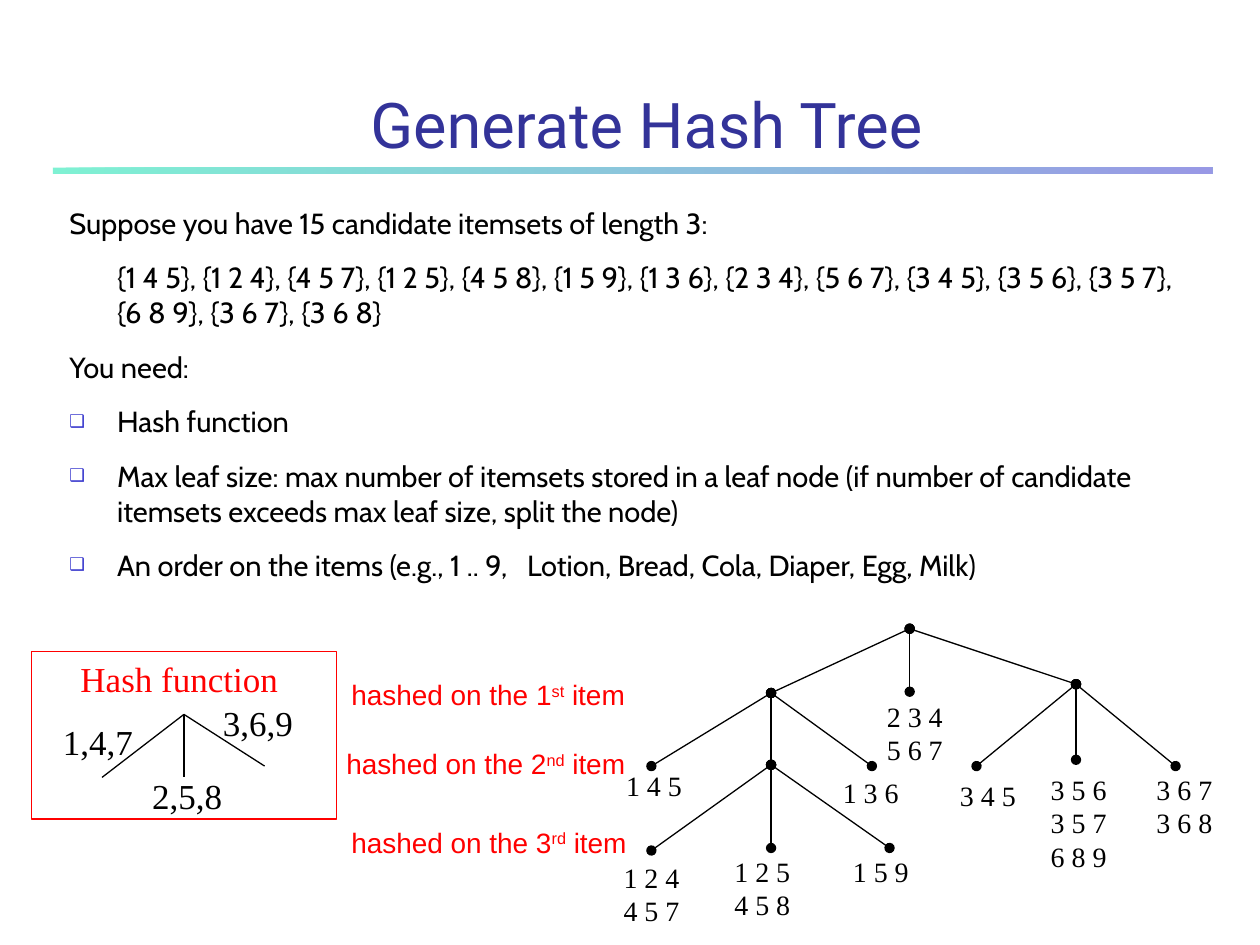
from dataclasses import dataclass
from typing import Optional

from lxml.etree import SubElement
from pptx import Presentation
from pptx.dml.color import RGBColor
from pptx.enum.shapes import MSO_CONNECTOR as Connector, MSO_SHAPE as Preset
from pptx.enum.text import MSO_ANCHOR as Anchor, MSO_AUTO_SIZE as AutoSize, PP_ALIGN as Align
from pptx.oxml.ns import qn
from pptx.util import Emu, Pt

EMU_PER_PX = 9144


@dataclass(frozen=True)
class Theme:
    black: str = "000000"
    red: str = "FF0000"
    title: str = "333399"
    bullet: str = "3333CC"
    rule_start: str = "00E4A8"
    rule_end: str = "3333CC"
    title_font: str = "Roboto"
    body_font: str = "Cabin"
    tree_font: str = "Times New Roman"
    level_font: str = "Arial"
    title_size: float = 36
    body_size: float = 16.6
    hash_size: float = 20
    label_size: float = 16
    line_width: float = 0.75


THEME = Theme()


@dataclass(frozen=True)
class Box:
    left: int
    top: int
    width: int
    height: int

    def emu(self) -> tuple:
        return tuple(px(v) for v in (self.left, self.top, self.width, self.height))


@dataclass(frozen=True)
class Style:
    font: str
    size: float
    color: str


@dataclass(frozen=True)
class Span:
    text: str
    raised: bool = False
    spacing: float = 0


@dataclass(frozen=True)
class BodyItem:
    spans: tuple
    left: int = 38
    indent: int = -38
    bullet: bool = False


@dataclass(frozen=True)
class Label:
    left: int
    top: int
    lines: tuple


@dataclass(frozen=True)
class Node:
    x: int
    y: int
    label: Optional[Label] = None
    children: tuple = ()


TITLE_STYLE = Style(THEME.title_font, THEME.title_size, THEME.title)
BODY_STYLE = Style(THEME.body_font, THEME.body_size, THEME.black)
LEAF_STYLE = Style(THEME.tree_font, THEME.label_size, THEME.black)
LEVEL_STYLE = Style(THEME.level_font, THEME.label_size, THEME.red)
BUCKET_STYLE = Style(THEME.tree_font, THEME.hash_size, THEME.black)
HASH_STYLE = Style(THEME.tree_font, THEME.hash_size, THEME.red)

BODY = (
    BodyItem((Span("Suppose you have 15 candidate itemsets of length 3:"),)),
    BodyItem((Span("{1 4 5}, {1 2 4}, {4 5 7}, {1 2 5}, {4 5 8}, {1 5 9}, {1 3 6}, {2 3 4}, "
                   "{5 6 7}, {3 4 5}, {3 5 6}, {3 5 7}, {6 8 9}, {3 6 7}, {3 6 8}"),), indent=0),
    BodyItem((Span("You need:"),)),
    BodyItem((Span("Hash function"),), bullet=True),
    BodyItem((Span("Max leaf size: max number of itemsets stored in a leaf node (if number of "
                   "candidate itemsets exceeds max leaf size, split the node)"),), bullet=True),
    BodyItem((Span("An order on the items (e.g., 1 .. 9,"), Span(" ", spacing=7.6),
              Span("Lotion, Bread, Cola, Diaper, Egg, Milk)")), bullet=True),
)

TREE = Node(722, 499, children=(
    Node(612, 550, children=(
        Node(517, 608, Label(487, 605, ("1 4 5",))),
        Node(612, 607, children=(
            Node(517, 675, Label(485, 678, ("1 2 4", "4 5 7"))),
            Node(612, 673, Label(573, 673, ("1 2 5", "4 5 8"))),
            Node(706, 673, Label(667, 673, ("1 5 9",))),
        )),
        Node(692, 608, Label(659, 611, ("1 3 6",))),
    )),
    Node(722, 549, Label(694, 550, ("2 3 4", "5 6 7"))),
    Node(854, 543, children=(
        Node(775, 608, Label(752, 613, ("3 4 5",))),
        Node(854, 603, Label(824, 608, ("3 5 6", "3 5 7", "6 8 9"))),
        Node(933, 608, Label(908, 608, ("3 6 7", "3 6 8"))),
    )),
))

HASH_BRANCHES = ((81, 617), (146, 617), (210, 608))
HASH_BUCKETS = (("1,4,7", 40, 567), ("2,5,8", 111, 610), ("3,6,9", 167, 552))
LEVELS = (("1", "st", Box(269, 533, 242, 37)),
          ("2", "nd", Box(265, 588, 246, 37)),
          ("3", "rd", Box(269, 650, 243, 37)))


def px(value: int) -> Emu:
    return Emu(value * EMU_PER_PX)


def rgb(color: str) -> RGBColor:
    return RGBColor.from_string(color)


def add_span(para, span: Span, style: Style) -> None:
    run = para.add_run()
    run.text = span.text
    run.font.name = style.font
    run.font.size = Pt(style.size)
    run.font.color.rgb = rgb(style.color)
    properties = run.font._element
    if span.raised:
        properties.set("baseline", "30000")
    if span.spacing:
        properties.set("spc", str(round(span.spacing * 100)))


def add_label(shapes, box: Box, lines: tuple, style: Style) -> None:
    frame = shapes.add_textbox(*box.emu()).text_frame
    frame.word_wrap = False
    frame.auto_size = AutoSize.NONE
    for index, spans in enumerate(lines):
        para = frame.add_paragraph() if index else frame.paragraphs[0]
        para.alignment = Align.LEFT
        for span in spans:
            add_span(para, span, style)


def add_line(shapes, start: tuple, end: tuple, dots: bool = False) -> None:
    line = shapes.add_connector(Connector.STRAIGHT, *(px(v) for v in (*start, *end)))
    line.line.color.rgb = rgb(THEME.black)
    line.line.width = Pt(THEME.line_width)
    if dots:
        outline = line.line._get_or_add_ln()
        for tag in ("a:headEnd", "a:tailEnd"):
            SubElement(outline, qn(tag), type="oval")
    SubElement(line._element.spPr, qn("a:effectLst"))


def add_bullet(para) -> None:
    properties = para._p.get_or_add_pPr()
    color = SubElement(properties, qn("a:buClr"))
    SubElement(color, qn("a:srgbClr"), val=THEME.bullet)
    SubElement(properties, qn("a:buSzPct"), val="60000")
    SubElement(properties, qn("a:buChar"), char="❑")


def fill_title(title) -> None:
    title.left, title.top, title.width, title.height = Box(67, 25, 892, 108).emu()
    frame = title.text_frame
    frame.auto_size = AutoSize.NONE
    frame.vertical_anchor = Anchor.BOTTOM
    frame.paragraphs[0].alignment = Align.CENTER
    add_span(frame.paragraphs[0], Span("Generate Hash Tree"), TITLE_STYLE)


def fill_body(body) -> None:
    body.left, body.top, body.width, body.height = Box(45, 158, 910, 325).emu()
    frame = body.text_frame
    frame.auto_size = AutoSize.NONE
    for index, item in enumerate(BODY):
        para = frame.add_paragraph() if index else frame.paragraphs[0]
        properties = para._p.get_or_add_pPr()
        properties.set("marL", str(px(item.left)))
        properties.set("indent", str(px(item.indent)))
        if item.bullet:
            add_bullet(para)
        else:
            SubElement(properties, qn("a:buNone"))
        para.space_before = Pt(11.2 if index else 0)
        for span in item.spans:
            add_span(para, span, BODY_STYLE)


def add_title_rule(shapes) -> None:
    rule = shapes.add_shape(Preset.RECTANGLE, *Box(42, 133, 920, 5).emu())
    rule.shadow.inherit = False
    rule.line.fill.background()
    rule.fill.gradient()
    rule.fill.gradient_angle = 0
    for stop, color in zip(rule.fill.gradient_stops, (THEME.rule_start, THEME.rule_end)):
        stop.color.rgb = rgb(color)
    for color in rule._element.spPr.iter(qn("a:srgbClr")):
        SubElement(color, qn("a:alpha"), val="50000")


def add_tree(shapes, node: Node) -> None:
    for child in node.children:
        add_line(shapes, (node.x, node.y), (child.x, child.y), dots=True)
        add_tree(shapes, child)
    if node.label:
        lines = tuple((Span(text),) for text in node.label.lines)
        box = Box(node.label.left, node.label.top, 68, 10 + 27 * len(lines))
        add_label(shapes, box, lines, LEAF_STYLE)


def add_hash_function(shapes) -> None:
    for end in HASH_BRANCHES:
        add_line(shapes, (146, 567), end)
    for text, left, top in HASH_BUCKETS:
        add_label(shapes, Box(left, top, 80, 44), ((Span(text),),), BUCKET_STYLE)
    add_label(shapes, Box(54, 517, 182, 44), ((Span("Hash function"),),), HASH_STYLE)
    border = shapes.add_shape(Preset.RECTANGLE, *Box(25, 517, 242, 133).emu())
    border.shadow.inherit = False
    border.fill.background()
    border.line.color.rgb = rgb(THEME.red)
    border.line.width = Pt(THEME.line_width)


def main() -> None:
    deck = Presentation()
    deck.slide_width, deck.slide_height = px(1000), px(750)
    page = deck.slides.add_slide(deck.slide_layouts[1])
    fill_title(page.shapes.title)
    fill_body(page.placeholders[1])
    add_title_rule(page.shapes)
    add_tree(page.shapes.add_group_shape().shapes, TREE)
    add_hash_function(page.shapes.add_group_shape().shapes)
    for number, suffix, box in LEVELS:
        spans = (Span(f"hashed on the {number}"), Span(suffix, raised=True), Span(" item"))
        add_label(page.shapes, box, (spans,), LEVEL_STYLE)
    deck.save("out.pptx")


if __name__ == "__main__":
    main()
